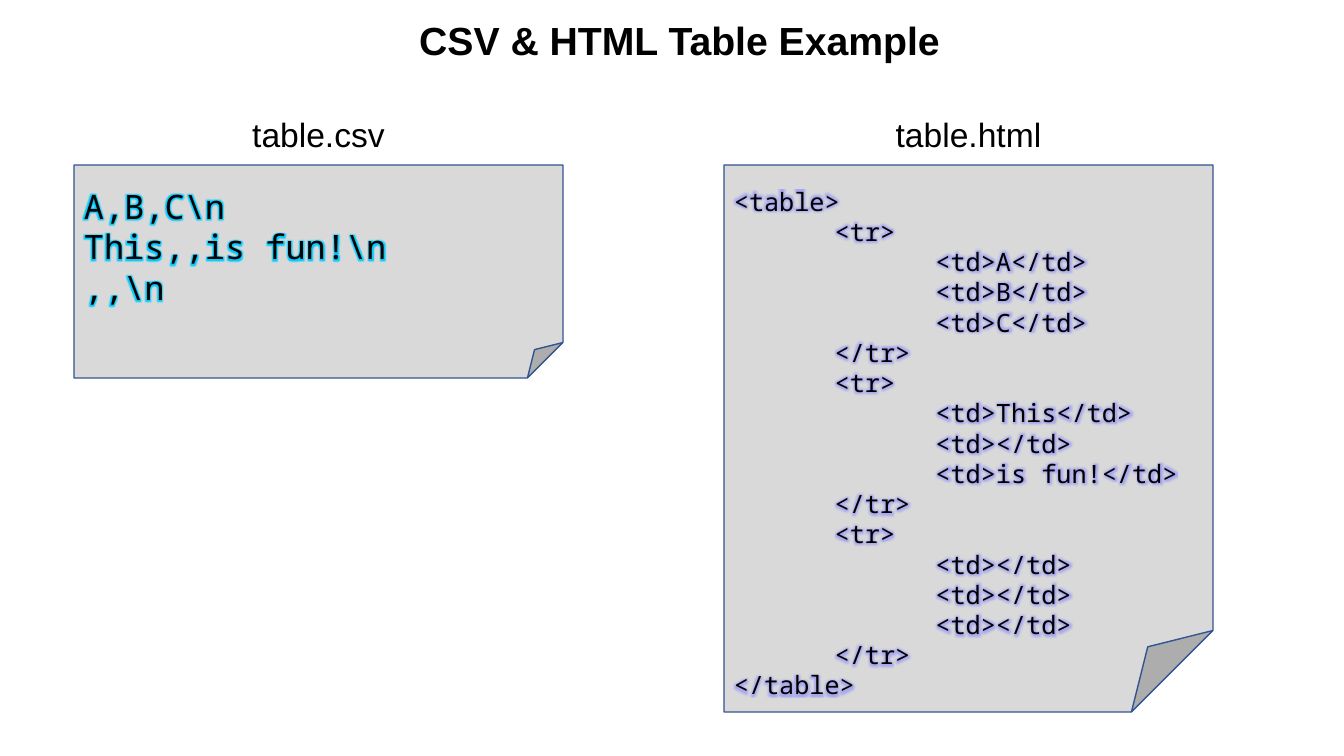
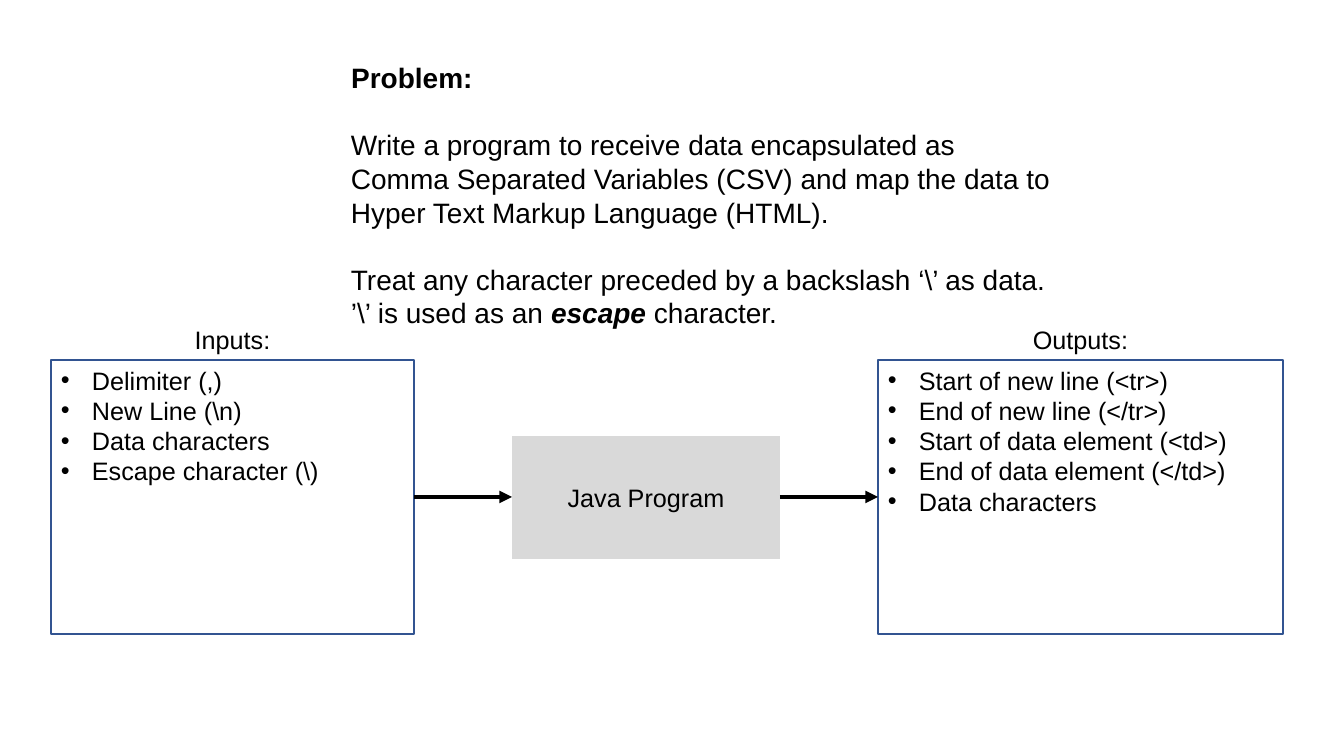
from lxml import etree
from pptx import Presentation
from pptx import util as u
from pptx.dml.color import RGBColor
from pptx.enum import shapes, text
from pptx.oxml.ns import qn

# Content
CSV_LINES = ["A,B,C\\n", "This,,is fun!\\n", ",,\\n"]
TABLE_ROWS = [["A", "B", "C"], ["This", "", "is fun!"], ["", "", ""]]
PROBLEM = [
    [("Write a program to receive data encapsulated as Comma Separated Variables "
      "(CSV) and map the data to Hyper Text Markup Language (HTML).", {})],
    [("Treat any character preceded by a backslash ‘\\’ as data. "
      "’\\’ is used as an ", {}),
     ("escape", {"bold": True, "italic": True}), (" character.", {})],
]
INPUTS = ["Delimiter (,)", "New Line (\\n)", "Data characters", "Escape character (\\)"]
OUTPUTS = ["Start of new line (<tr>)", "End of new line (</tr>)",
           "Start of data element (<td>)", "End of data element (</td>)",
           "Data characters"]

# Shared style
COLORS = {"ink": "000000", "panel": "D9D9D9", "outline": "325491",
          "csv glow": "00CCFF", "html glow": "8888FF"}
SANS, MONO = "Arial", "Noto Sans Mono"
LINE_HEIGHT = 1.2
INDENT = 31
TAB_STOPS = [1, 2]
LEFT, CENTER = text.PP_ALIGN.LEFT, text.PP_ALIGN.CENTER


def px(value):
    return u.Emu(round(value * 914400 / 100.8))


def color(name):
    return RGBColor.from_string(COLORS[name])


def apply(target, values):
    for name, value in values.items():
        setattr(target, name, value)


def place(shape, box):
    apply(shape, dict(zip(("left", "top", "width", "height"), map(px, box))))


def add_glow(run, name, alpha):
    effects = etree.Element(qn("a:effectLst"))
    glow = etree.SubElement(effects, qn("a:glow"), rad=str(u.Pt(6)))
    tint = etree.SubElement(glow, qn("a:srgbClr"), val=COLORS[name])
    etree.SubElement(tint, qn("a:alpha"), val=str(alpha * 1000))
    run.font.fill._xPr.find(qn("a:solidFill")).addnext(effects)


def add_bullet(paragraph):
    properties = paragraph._p.get_or_add_pPr()
    properties.set("marL", str(px(INDENT)))
    properties.set("indent", str(-px(INDENT)))
    etree.SubElement(properties, qn("a:buFont"), typeface="Arial")
    etree.SubElement(properties, qn("a:buChar"), char="•")


def add_tab_stops(paragraph):
    stops = etree.SubElement(paragraph._p.get_or_add_pPr(), qn("a:tabLst"))
    for inches in TAB_STOPS:
        etree.SubElement(stops, qn("a:tab"), pos=str(u.Inches(inches)), algn="l")


def write(shape, paragraphs, size, align=LEFT, font=SANS, bold=False, gap=0,
          bullets=False, middle=False, wrap=True, glow=None):
    """Each paragraph is a string or a list of (text, font format) runs."""
    frame = shape.text_frame
    anchor = text.MSO_ANCHOR.MIDDLE if middle else text.MSO_ANCHOR.TOP
    apply(frame, {"word_wrap": wrap, "vertical_anchor": anchor,
                  "auto_size": text.MSO_AUTO_SIZE.NONE})
    for index, content in enumerate(paragraphs):
        paragraph = frame.add_paragraph() if index else frame.paragraphs[0]
        apply(paragraph, {"alignment": align, "space_after": u.Pt(0),
                          "line_spacing": u.Pt(size * LINE_HEIGHT),
                          "space_before": u.Pt(gap if index else 0)})
        if bullets:
            add_bullet(paragraph)
        if "\t" in content:
            add_tab_stops(paragraph)
        for words, extra in [(content, {})] if isinstance(content, str) else content:
            run = paragraph.add_run()
            run.text = words
            apply(run.font, {"size": u.Pt(size), "name": font, "bold": bold,
                             "italic": False, **extra})
            run.font.color.rgb = color("ink")
            if glow:
                add_glow(run, *glow)


def add_text(parent, box, paragraphs, size, **style):
    write(parent.shapes.add_textbox(*map(px, box)), paragraphs, size, **style)


def add_panel(parent, kind, box, fill=None, line=None):
    shape = parent.shapes.add_shape(kind, *map(px, box))
    shape.shadow.inherit = False
    if fill:
        shape.fill.solid()
        shape.fill.fore_color.rgb = color(fill)
    else:
        shape.fill.background()
    if line:
        shape.line.color.rgb = color(line)
        shape.line.width = u.Pt(1)
    else:
        shape.line.fill.background()
    return shape


def add_arrow(slide, start, end, y):
    arrow = slide.shapes.add_connector(shapes.MSO_CONNECTOR.STRAIGHT,
                                       *map(px, (start, y, end, y)))
    arrow.line.color.rgb = color("ink")
    arrow.line.width = u.Pt(3)
    etree.SubElement(arrow.line._get_or_add_ln(), qn("a:tailEnd"), type="triangle")
    etree.SubElement(arrow._element.spPr, qn("a:effectLst"))


def add_slide(title, box, size, align):
    slide = presentation.slides.add_slide(presentation.slide_layouts[5])
    place(slide.shapes.title, box)
    write(slide.shapes.title, [title], size, align=align, bold=True)
    return slide


presentation = Presentation()
presentation.slide_width, presentation.slide_height = px(1344), px(756)

# Slide 1: the two files side by side
slide = add_slide("CSV & HTML Table Example", (360, 11, 639, 57), 28, CENTER)
html_lines = ["<table>"]
for row in TABLE_ROWS:
    html_lines += ["\t<tr>", *(f"\t\t<td>{cell}</td>" for cell in row), "\t</tr>"]
html_lines.append("</table>")

SHEET_TOP, SHEET_WIDTH = 165, 489
FILES = [("table.csv", 74, 213, CSV_LINES, 24, ("csv glow", 100)),
         ("table.html", 724, 547, html_lines, 18, ("html glow", 60))]
for name, left, height, lines, size, glow in FILES:
    add_text(slide, (left, 109, SHEET_WIDTH, 50), [name], 24, align=CENTER)
    sheet = slide.shapes.add_group_shape()
    add_panel(sheet, shapes.MSO_SHAPE.FOLDED_CORNER,
              (left, SHEET_TOP, SHEET_WIDTH, height), "panel", "outline")
    add_text(sheet, (left, SHEET_TOP + 16, 506, height - 18), lines, size,
             font=MONO, glow=glow)

# Slide 2: problem statement and data flow
slide = add_slide("Problem:", (341, 55, 724, 44), 20, LEFT)
add_text(slide, (341, 123, 724, 215), PROBLEM, 20, gap=24)

BOX_TOP, BOX_HEIGHT = 360, 274
FLOW_Y = BOX_TOP + BOX_HEIGHT // 2
LISTS = [("Inputs:", 51, 363, INPUTS), ("Outputs:", 878, 405, OUTPUTS)]
for label, left, width, items in LISTS:
    add_text(slide, (left, BOX_TOP - 41, width, 40), [label], 18,
             align=CENTER, wrap=False)
    panel = add_panel(slide, shapes.MSO_SHAPE.RECTANGLE,
                      (left, BOX_TOP, width, BOX_HEIGHT), line="outline")
    write(panel, items, 18, bullets=True)

PROGRAM_LEFT, PROGRAM_WIDTH, PROGRAM_HEIGHT = 512, 268, 123
program = add_panel(slide, shapes.MSO_SHAPE.RECTANGLE,
                    (PROGRAM_LEFT, FLOW_Y - PROGRAM_HEIGHT // 2,
                     PROGRAM_WIDTH, PROGRAM_HEIGHT), "panel")
write(program, ["Java Program"], 18, align=CENTER, middle=True)
(_, inputs_left, inputs_width, _), (_, outputs_left, _, _) = LISTS
add_arrow(slide, inputs_left + inputs_width, PROGRAM_LEFT, FLOW_Y)
add_arrow(slide, PROGRAM_LEFT + PROGRAM_WIDTH, outputs_left, FLOW_Y)

presentation.save("out.pptx")
